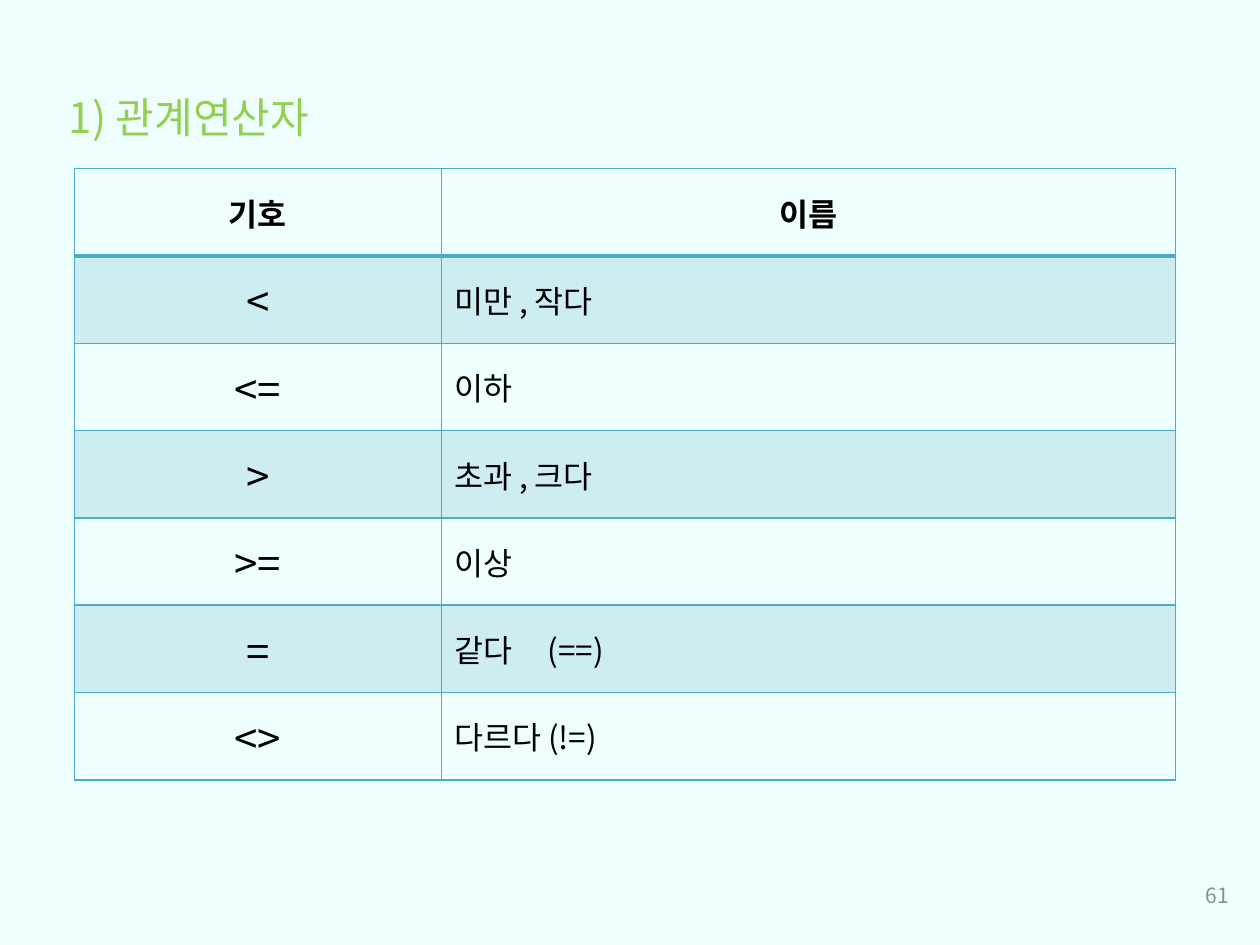
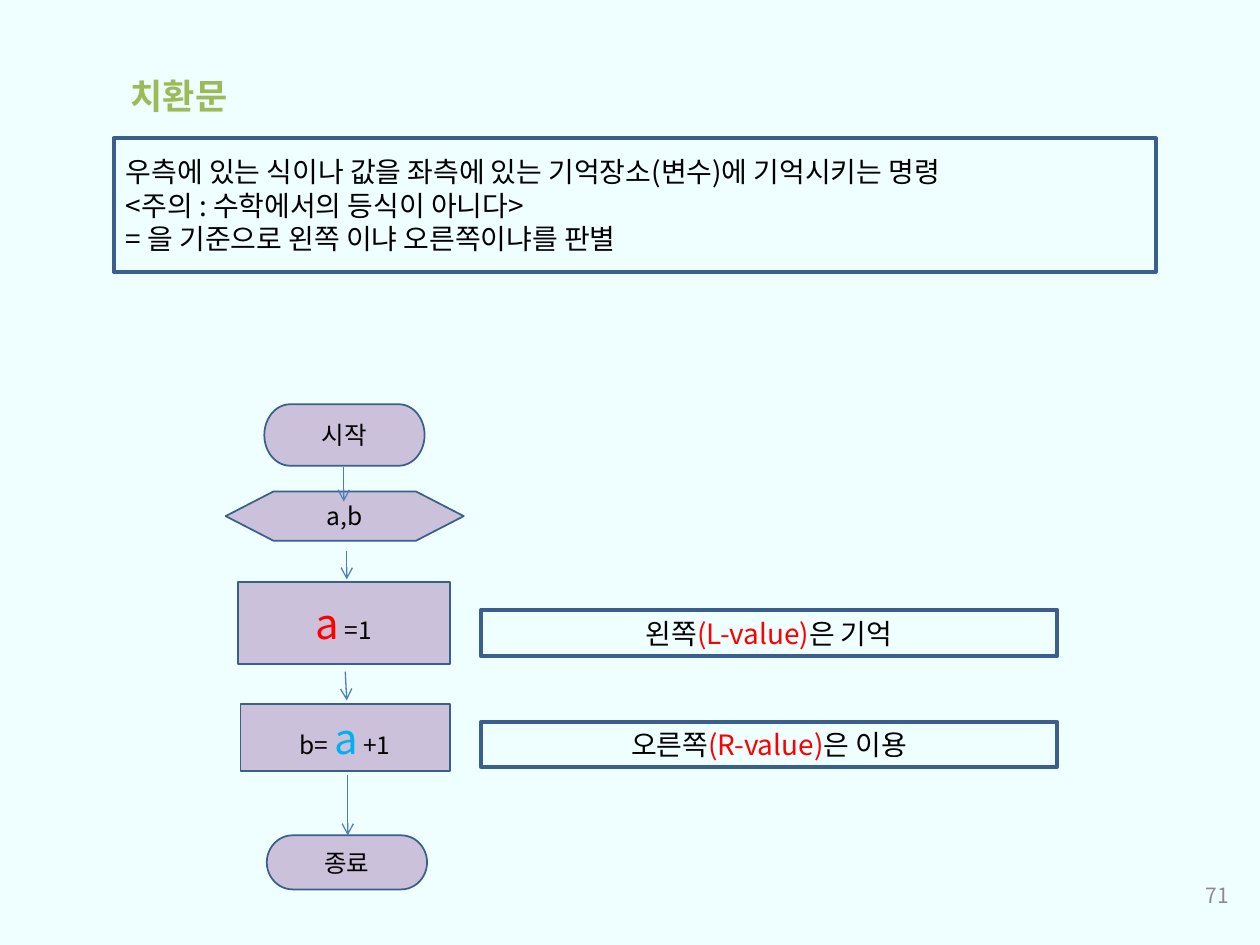
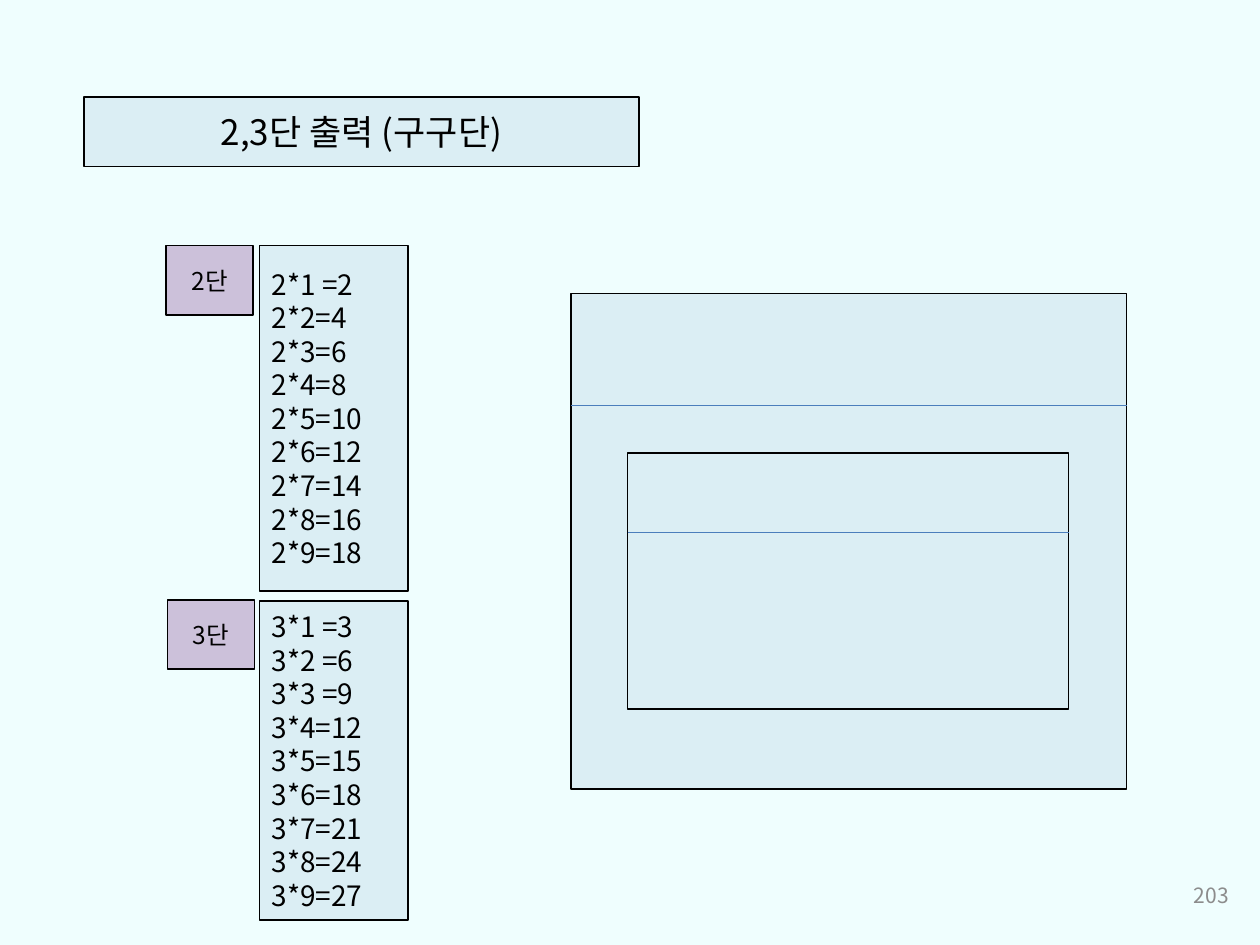
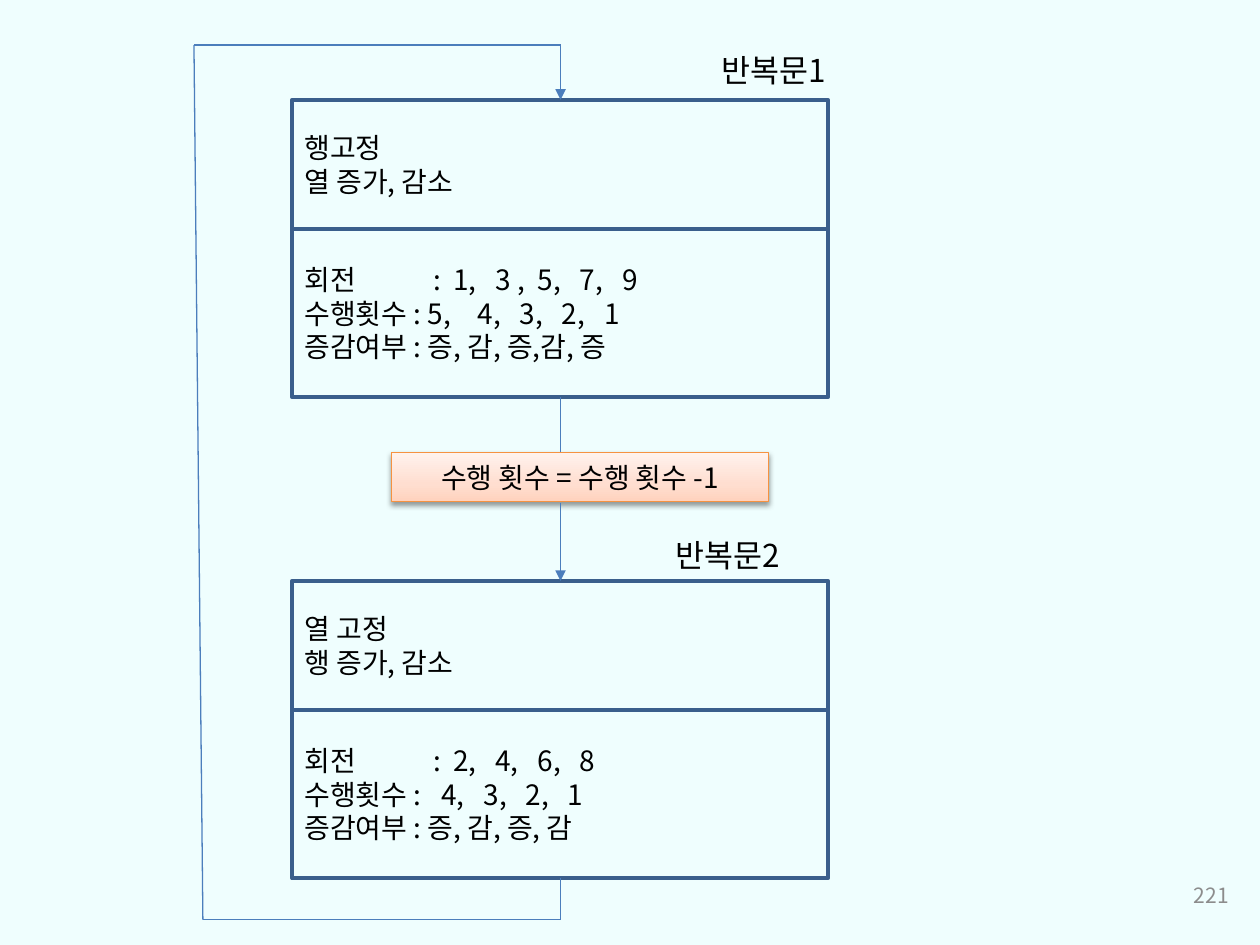
from copy import deepcopy
from dataclasses import dataclass

from lxml import etree
from pptx import Presentation
from pptx import util as u
from pptx.dml.color import RGBColor
from pptx.enum import shapes, text
from pptx.oxml.ns import qn


@dataclass(frozen=True)
class Theme:
    font: str = "Noto Sans CJK KR"
    page: str = "EFFEFE"
    ink: str = "000000"
    muted: str = "8C8C8C"
    lime: str = "92D050"
    olive: str = "9BBB59"
    red: str = "FF0000"
    sky: str = "00B0F0"
    teal: str = "4BACC6"
    navy: str = "3A5F8C"
    wire: str = "4B7EBC"
    lilac: str = "CCC1DA"
    pale: str = "DBEEF4"
    orange: str = "F69240"
    peach: tuple = ((0, "FFD2BD"), (0.35, "FFDED0"), (1, "FFF2ED"))
    number: int = 12
    small: int = 14
    body: int = 16
    label: int = 18
    title: int = 20
    large: int = 24


theme = Theme()
LEFT, CENTER, RIGHT = text.PP_ALIGN.LEFT, text.PP_ALIGN.CENTER, text.PP_ALIGN.RIGHT
RECT = shapes.MSO_SHAPE.RECTANGLE


def write(frame, paras, size, color=theme.ink, align=LEFT, bold=False, stops=()):
    """Each paragraph is a string or a list of (text, size, colour); stops holds tab stops in cm."""
    frame.word_wrap = True
    for index, content in enumerate(paras):
        para = frame.paragraphs[0] if index == 0 else frame.add_paragraph()
        para.alignment = align
        if index < len(stops):
            tabs = etree.SubElement(para._p.get_or_add_pPr(), qn("a:tabLst"))
            for stop in stops[index]:
                etree.SubElement(tabs, qn("a:tab"), pos=str(u.Cm(stop)), algn="l")
        spans = [(content, size, color)] if isinstance(content, str) else content
        for words, points, ink in spans:
            span = para.add_run()
            span.text = words
            span.font.size = u.Pt(points)
            span.font.bold = bold
            span.font.color.rgb = RGBColor.from_string(ink)
            span.font.name = theme.font
            etree.SubElement(span._r.rPr, qn("a:ea"), typeface=theme.font)


def add_box(page, kind, area, paras=(), fill=None, line=theme.navy, width=1.0,
            size=theme.body, align=LEFT, stops=()):
    box = page.shapes.add_shape(kind, *map(u.Cm, area))
    box.shadow.inherit = False
    if fill:
        box.fill.solid()
        box.fill.fore_color.rgb = RGBColor.from_string(fill)
    else:
        box.fill.background()
    box.line.color.rgb = RGBColor.from_string(line)
    box.line.width = u.Pt(width)
    box.text_frame.vertical_anchor = text.MSO_ANCHOR.MIDDLE
    write(box.text_frame, paras, size, align=align, stops=stops)
    return box


deck = Presentation()
deck.slide_width, deck.slide_height = u.Cm(25.4), u.Cm(19.05)

# Pages with background and page number
pages = []
for number in (61, 71, 203, 221):
    page = deck.slides.add_slide(deck.slide_layouts[6])
    page.background.fill.solid()
    page.background.fill.fore_color.rgb = RGBColor.from_string(theme.page)
    box = page.shapes.add_textbox(*map(u.Cm, (19.1, 17.53, 5.92, 1.02)))
    box.text_frame.vertical_anchor = text.MSO_ANCHOR.MIDDLE
    write(box.text_frame, [str(number)], theme.number, theme.muted, RIGHT)
    pages.append(page)
operators, assignment, times_tables, loops = pages

# Titles and free labels
for page, area, words, size, color, align, bold in (
    (operators, (1.14, 1.73, 8.99, 1.27), "1) 관계연산자", theme.large, theme.lime, LEFT, False),
    (assignment, (2.29, 1.37, 2.64, 1.12), "치환문", theme.title, theme.olive, CENTER, True),
    (loops, (14.3, 0.91, 3.2, 1.02), "반복문1", theme.label, theme.ink, LEFT, False),
    (loops, (13.36, 10.69, 3.2, 1.02), "반복문2", theme.label, theme.ink, LEFT, False),
):
    box = page.shapes.add_textbox(*map(u.Cm, area))
    write(box.text_frame, [words], size, color, align, bold)

# Relational operators: table
rows = (
    ("기호", "이름"),
    ("<", "미만 , 작다"),
    ("<=", "이하"),
    (">", "초과 , 크다"),
    (">=", "이상"),
    ("=", "같다\t(==)"),
    ("<>", "다르다 (!=)"),
)
table = operators.shapes.add_table(len(rows), 2, *map(u.Cm, (1.5, 3.4, 22.2, 12.32))).table
table.first_row = table.horz_banding = False
for column, width in zip(table.columns, (7.4, 14.8)):
    column.width = u.Cm(width)
for r, row in enumerate(rows):
    table.rows[r].height = u.Cm(1.76)
    for c, words in enumerate(row):
        cell = table.cell(r, c)
        cell.vertical_anchor = text.MSO_ANCHOR.MIDDLE
        symbol = c == 0 and r > 0
        write(cell.text_frame, [words], theme.large if symbol else theme.label,
              align=CENTER if c == 0 or r == 0 else LEFT, bold=r == 0,
              stops=[[1.89]] if "\t" in words else ())
        props = cell._tc.get_or_add_tcPr()
        for side in "LRTB":
            heavy = (r, side) in ((0, "B"), (1, "T"))
            border = etree.SubElement(props, qn(f"a:ln{side}"), w=str(u.Pt(2 if heavy else 1)))
            paint = etree.SubElement(border, qn("a:solidFill"))
            etree.SubElement(paint, qn("a:srgbClr"), val=theme.teal)
        if r % 2:
            cell.fill.solid()
            cell.fill.fore_color.rgb = RGBColor.from_string(theme.teal)
            etree.SubElement(props.find(qn("a:solidFill"))[0], qn("a:alpha"), val="20000")
        else:
            cell.fill.background()

# Assignment: explanation and flow chart
add_box(assignment, RECT, (2.29, 2.79, 21.01, 2.69), (
    "우측에 있는 식이나 값을 좌측에 있는 기억장소(변수)에 기억시키는 명령",
    "<주의 : 수학에서의 등식이 아니다>",
    "= 을 기준으로 왼쪽 이냐 오른쪽이냐를 판별",
), width=2.25)

terminator = shapes.MSO_SHAPE.FLOWCHART_TERMINATOR
process = shapes.MSO_SHAPE.FLOWCHART_PROCESS
for kind, area, content in (
    (terminator, (5.33, 8.15, 3.23, 1.24), "시작"),
    (shapes.MSO_SHAPE.FLOWCHART_PREPARATION, (4.55, 9.91, 4.8, 0.99), "a,b"),
    (process, (4.8, 11.73, 4.27, 1.65),
     [("a", theme.large, theme.red), (" =1", theme.small, theme.ink)]),
    (process, (4.85, 14.2, 4.22, 1.35),
     [("b= ", theme.small, theme.ink), ("a", theme.large, theme.sky),
      (" +1", theme.small, theme.ink)]),
    (terminator, (5.38, 16.84, 3.23, 1.09), "종료"),
):
    add_box(assignment, kind, area, [content], theme.lilac, size=theme.small, align=CENTER)

for top, height, side, value, role in (
    (12.29, 0.94, "왼쪽", "(L-value)", "은 기억"),
    (14.55, 0.91, "오른쪽", "(R-value)", "은 이용"),
):
    note = [(side, theme.body, theme.ink), (value, theme.body, theme.red),
            (role, theme.body, theme.ink)]
    add_box(assignment, RECT, (9.7, top, 11.61, height), [note], width=2.25, align=CENTER)

# Times tables: heading, results and nested frames
add_box(times_tables, RECT, (1.7, 1.96, 11.18, 1.4), ["2,3단 출력 (구구단)"],
        theme.pale, theme.ink, size=theme.title, align=CENTER)
for base, spaced, top, height, label_left, label_top in (
    (2, 1, 4.95, 6.96, 3.35, 4.95),
    (3, 3, 12.12, 6.43, 3.38, 12.09),
):
    results = [f"{base}*{n}{' ' if n <= spaced else ''}={base * n}" for n in range(1, 10)]
    add_box(times_tables, RECT, (5.23, top, 3, height), results, theme.pale, theme.ink)
    add_box(times_tables, RECT, (label_left, label_top, 1.75, 1.4), [f"{base}단"],
            theme.lilac, theme.ink, size=theme.small, align=CENTER)
for area in ((11.51, 5.92, 11.2, 9.98), (12.65, 9.14, 8.89, 5.16)):
    add_box(times_tables, RECT, area, fill=theme.pale, line=theme.ink)

# Loops: two blocks, each with a rule and its counts
step = 0.85
for top, rule, counts, stops in (
    (2.01, ("행고정", "열 증가, 감소"),
     ("회전\t:\t1,\t3 ,\t5,\t7,\t9", "수행횟수 : 5,\t4,\t3,\t2,\t1", "증감여부 : 증, 감, 증,감, 증"),
     ([2.6] + [3 + step * i for i in range(5)], [3.49 + step * i for i in range(4)])),
    (11.71, ("열 고정", "행 증가, 감소"),
     ("회전\t:\t2,\t4,\t6,\t8", "수행횟수 :\t4,\t3,\t2,\t1", "증감여부 : 증, 감, 증, 감"),
     ([2.6] + [3 + step * i for i in range(4)], [2.76 + step * i for i in range(4)])),
):
    add_box(loops, RECT, (5.89, top, 10.8, 2.6), rule, width=2.25)
    add_box(loops, RECT, (5.89, top + 2.6, 10.8, 3.4), counts, width=2.25, stops=stops)

# Loops: count update with gradient and shadow
update = add_box(loops, RECT, (7.9, 9.12, 7.59, 0.99), ["수행 횟수 = 수행 횟수 -1"],
                 line=theme.orange, width=0.75, align=CENTER)
update.fill.gradient()
update.fill.gradient_angle = 90
stop_list = update._element.spPr.find(qn("a:gradFill")).find(qn("a:gsLst"))
stop_list.insert(1, deepcopy(stop_list[0]))
for stop, (position, color) in zip(update.fill.gradient_stops, theme.peach):
    stop.position = position
    stop.color.rgb = RGBColor.from_string(color)
shadow = etree.SubElement(update._element.spPr.find(qn("a:effectLst")), qn("a:outerShdw"),
                          blurRad=str(u.Pt(3.1)), dist=str(u.Pt(1.6)), dir="5400000",
                          rotWithShape="0")
shade = etree.SubElement(shadow, qn("a:srgbClr"), val=theme.ink)
etree.SubElement(shade, qn("a:alpha"), val="38000")

# Lines and arrows of all pages
axis = 11.3
for page, start, end, head in (
    (assignment, (6.93, 9.42), (6.93, 10.11), "arrow"),
    (assignment, (6.99, 11.1), (6.99, 11.68), "arrow"),
    (assignment, (6.96, 13.54), (6.99, 14.12), "arrow"),
    (assignment, (7.01, 15.62), (7.01, 16.84), "arrow"),
    (times_tables, (11.51, 8.18), (22.71, 8.18), None),
    (times_tables, (12.65, 10.74), (21.54, 10.74), None),
    (loops, (axis, 8), (axis, 9.12), None),
    (loops, (axis, 10.13), (axis, 11.71), "triangle"),
    (loops, (axis, 17.7), (axis, 18.54), None),
    (loops, (axis, 18.54), (4.09, 18.54), None),
    (loops, (4.09, 18.54), (3.91, 0.91), None),
    (loops, (3.91, 0.91), (axis, 0.91), None),
    (loops, (axis, 0.91), (axis, 2.01), "triangle"),
):
    wire = page.shapes.add_connector(shapes.MSO_CONNECTOR.STRAIGHT, *map(u.Cm, start + end))
    wire.line.color.rgb = RGBColor.from_string(theme.wire)
    wire.line.width = u.Pt(0.75)
    if head:
        etree.SubElement(wire.line._get_or_add_ln(), qn("a:tailEnd"), type=head)
    etree.SubElement(wire._element.spPr, qn("a:effectLst"))

deck.save("out.pptx")
